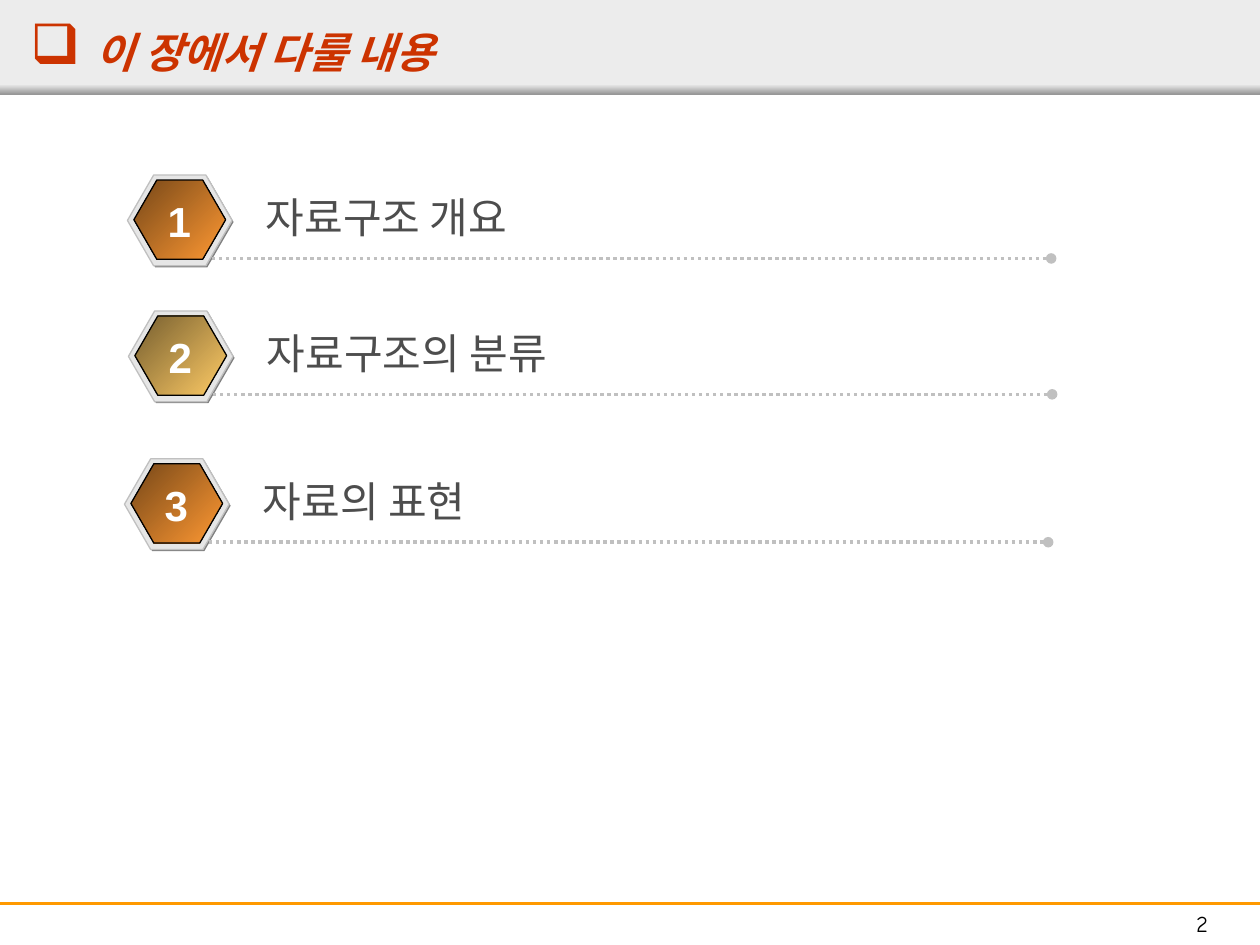
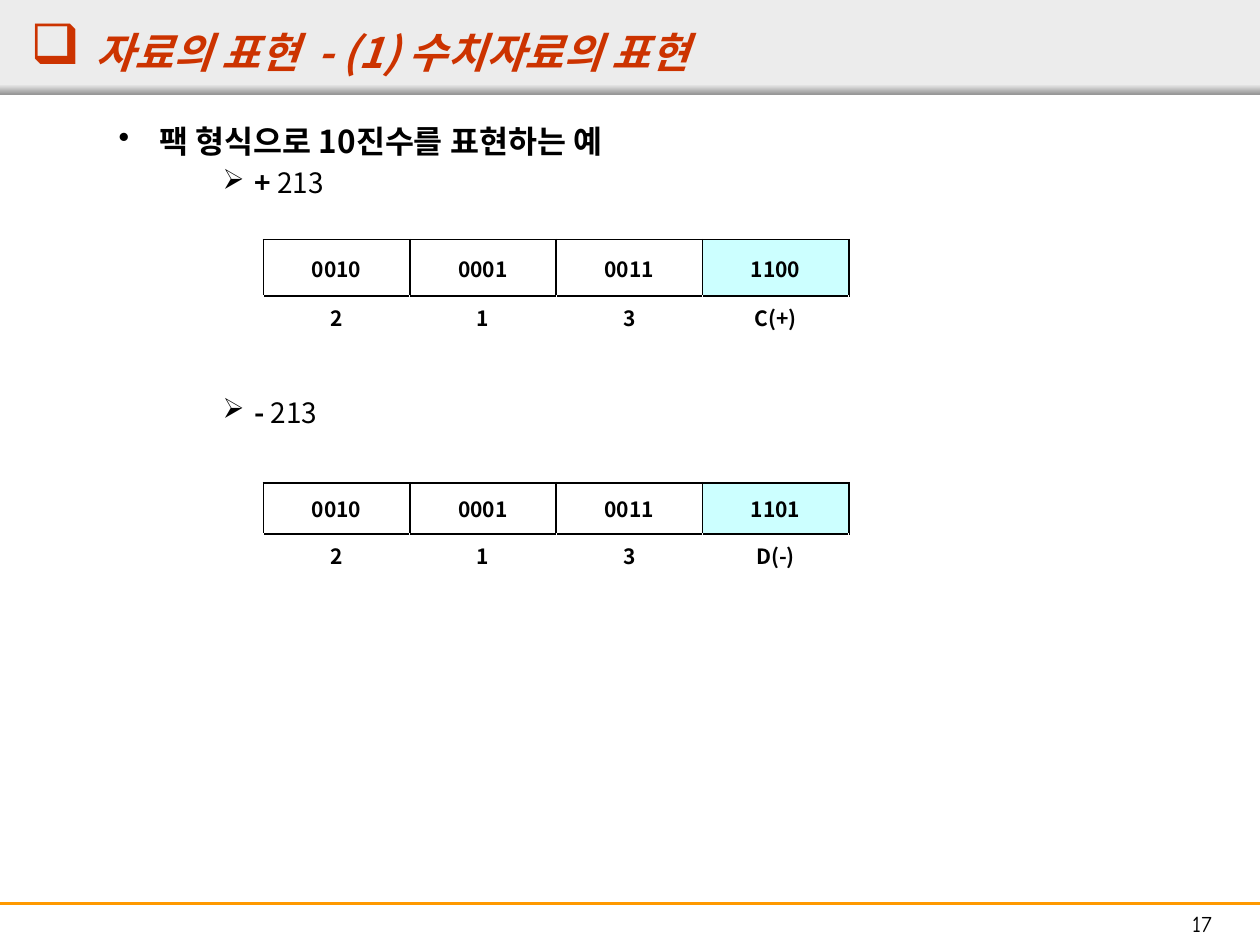
from lxml.etree import SubElement
from pptx import Presentation
from pptx.dml.color import RGBColor
from pptx.enum.dml import MSO_LINE
from pptx.enum.shapes import MSO_CONNECTOR, MSO_SHAPE
from pptx.enum.text import MSO_ANCHOR, MSO_AUTO_SIZE, PP_ALIGN
from pptx.oxml import parse_xml
from pptx.oxml.ns import nsdecls, qn
from pptx.util import Cm, Pt

KOR = "Noto Sans CJK KR"
RED, BLACK, WHITE, GREY = "CC3300", "000000", "FFFFFF", "C0C0C0"
BAND, AMBER, CYAN = "ECECEC", "FF9900", "CCFFFF"
WIDE, HIGH = 25.4, 19.05

ORANGE, GOLD = ("764718", "FF9933"), ("765E2F", "FFCC66")
TOPICS = [
    ("자료구조 개요", 2.57, 3.53, ORANGE),
    ("자료구조의 분류", 2.59, 6.27, GOLD),
    ("자료의 표현", 2.51, 9.25, ORANGE),
]
HEAD = "팩 형식으로 10진수를 표현하는 예"
CASES = [
    {"sign": "+", "gap": 3.4, "top": 4.83, "rows": (1.14, 0.86),
     "cells": [("0010", "0001", "0011", "1100"), ("2", "1", "3", "C(+)")]},
    {"sign": "-", "gap": 112, "top": 9.73, "rows": (1.04, 0.76),
     "cells": [("0010", "0001", "0011", "1101"), ("2", "1", "3", "D(-)")]},
]


def rgb(code):
    return RGBColor.from_string(code)


def style(para, size, color, face=KOR, bold=False, italic=False):
    font = para.font
    font.size, font.bold, font.italic = Pt(size), bold, italic
    font.color.rgb = rgb(color)
    font.name = face
    SubElement(font._element, qn("a:ea")).set("typeface", face)


def bullet(para, mark, color, left, hang, scale=100):
    props = para._p.get_or_add_pPr()
    props.set("marL", str(Cm(left)))
    props.set("indent", str(-Cm(hang)))
    tone = SubElement(SubElement(props, qn("a:buClr")), qn("a:srgbClr"))
    tone.set("val", color)
    SubElement(props, qn("a:buSzPct")).set("val", str(scale * 1000))
    SubElement(props, qn("a:buChar")).set("char", mark)


def shape(shapes, kind, box, fill, edge=None, angle=0):
    item = shapes.add_shape(kind, *map(Cm, box))
    item.shadow.inherit = False
    if isinstance(fill, tuple):
        item.fill.gradient()
        item.fill.gradient_angle = angle
        for stop, code in zip(item.fill.gradient_stops, fill):
            stop.color.rgb = rgb(code)
    else:
        item.fill.solid()
        item.fill.fore_color.rgb = rgb(fill)
    if edge:
        item.line.color.rgb = rgb(edge)
        item.line.width = Pt(0.75)
    else:
        item.line.fill.background()
    return item


def rule(shapes, left, top, width, color, weight):
    item = shapes.add_connector(
        MSO_CONNECTOR.STRAIGHT, Cm(left), Cm(top), Cm(left + width), Cm(top))
    item.line.color.rgb = rgb(color)
    item.line.width = Pt(weight)
    SubElement(item._element.spPr, qn("a:effectLst"))
    return item


def label(shapes, text, box, size, color, face=KOR, bold=False, align=PP_ALIGN.LEFT):
    frame = shapes.add_textbox(*map(Cm, box)).text_frame
    frame.word_wrap = True
    frame.vertical_anchor = MSO_ANCHOR.MIDDLE
    para = frame.paragraphs[0]
    para.text, para.alignment = text, align
    style(para, size, color, face, bold)


def page(deck, title, number):
    slide = deck.slides.add_slide(deck.slide_layouts[5])
    shapes = slide.shapes
    shape(shapes, MSO_SHAPE.RECTANGLE, (0, 0, WIDE, 1.9), BAND)
    shape(shapes, MSO_SHAPE.RECTANGLE, (0, 1.7, WIDE, 0.2), (BAND, "979797"), angle=270)
    rule(shapes, 0, 18.21, WIDE, AMBER, 1.5)
    label(shapes, number, (23.06, 18.21, 2.34, 0.81), 13, BLACK, "Comic Neue",
          align=PP_ALIGN.CENTER)

    head = shapes.title
    head.left, head.top, head.width, head.height = map(Cm, (0.36, 0.36, 22.86, 1.17))
    shapes._spTree.append(head._element)
    frame = head.text_frame
    frame.auto_size = MSO_AUTO_SIZE.NONE
    frame.vertical_anchor = MSO_ANCHOR.TOP
    frame.margin_top = Cm(0.17)
    para = frame.paragraphs[0]
    para.text, para.alignment = title, PP_ALIGN.LEFT
    bullet(para, "❑", RED, 1.32, 1.32, 133)
    style(para, 24, RED, bold=True, italic=True)
    return shapes


def topic(shapes, number, text, left, top, tones):
    group = shapes.add_group_shape().shapes
    for step, (wide, high), fill, edge in [
        ((0.03, 0.03), (2.11, 1.83), "808080", None),
        ((0, 0), (2.11, 1.83), "E6E6E6", GREY),
        ((0.13, 0.1), (1.85, 1.6), tones, BLACK),
    ]:
        box = (left + step[0], top + step[1], wide, high)
        badge = shape(group, MSO_SHAPE.HEXAGON, box, fill, edge, 315)
        badge.adjustments[0] = 0.289
    line = rule(group, left + 1.7, top + 1.68, 16.92, GREY, 2)
    line.line.dash_style = MSO_LINE.ROUND_DOT
    SubElement(line.line._get_or_add_ln(), qn("a:tailEnd")).set("type", "oval")
    label(group, text, (left + 2.54, top + 0.2, 15.9, 1.27), 24, "4D4D4D")
    label(group, str(number), (left + 0.56, top + 0.28, 0.97, 1.27), 24, WHITE,
          "Arial", True, PP_ALIGN.CENTER)


def border(cell, sides):
    props = cell._tc.get_or_add_tcPr()
    for spot, (side, (color, weight)) in enumerate(sides.items()):
        props.insert(spot, parse_xml(
            f'<a:ln{side} {nsdecls("a")} w="{Pt(weight)}"><a:solidFill>'
            f'<a:srgbClr val="{color}"/></a:solidFill></a:ln{side}>'))


def grid(shapes, case):
    cells, rows = case["cells"], case["rows"]
    table = shapes.add_table(
        len(rows), 4, Cm(5.31), Cm(case["top"]), Cm(11.8), Cm(sum(rows))).table
    table.first_row = table.horz_banding = False
    for row, high in zip(table.rows, rows):
        row.height = Cm(high)
    dark, pale = (BLACK, 1.08), (WHITE, 0.45)
    for y, texts in enumerate(cells):
        for x, text in enumerate(texts):
            cell = table.cell(y, x)
            cell.vertical_anchor = MSO_ANCHOR.MIDDLE
            para = cell.text_frame.paragraphs[0]
            para.text, para.alignment = text, PP_ALIGN.CENTER
            style(para, 12, BLACK, bold=True)
            if (y, x) == (0, 3):
                cell.fill.solid()
                cell.fill.fore_color.rgb = rgb(CYAN)
            else:
                cell.fill.background()
            side = pale if y else dark
            border(cell, {"L": side, "R": side, "T": dark, "B": side})


def body(shapes):
    frame = shapes.add_textbox(Cm(0.43), Cm(2.31), Cm(23.47), Cm(15.7)).text_frame
    frame.word_wrap = True
    frame.margin_top = Cm(0.15)
    para = frame.paragraphs[0]
    para.text = HEAD
    bullet(para, "•", BLACK, 2.54, 0.83)
    style(para, 18, BLACK, bold=True)
    for case in CASES:
        para = frame.add_paragraph()
        para.space_before = Pt(case["gap"])
        bullet(para, "➢", BLACK, 4.45, 0.64)
        style(para, 16, BLACK)
        for text, bold in ((case["sign"], True), (" 213", False)):
            run = para.add_run()
            run.text, run.font.bold = text, bold


def main():
    """Build the contents slide and the packed decimal slide."""
    deck = Presentation()
    deck.slide_width, deck.slide_height = Cm(WIDE), Cm(HIGH)
    shapes = page(deck, "이 장에서 다룰 내용", "2")
    for number, item in enumerate(TOPICS, 1):
        topic(shapes, number, *item)
    shapes = page(deck, "자료의 표현  - (1) 수치자료의 표현", "17")
    body(shapes)
    for case in CASES:
        grid(shapes, case)
    deck.save("out.pptx")


if __name__ == "__main__":
    main()
